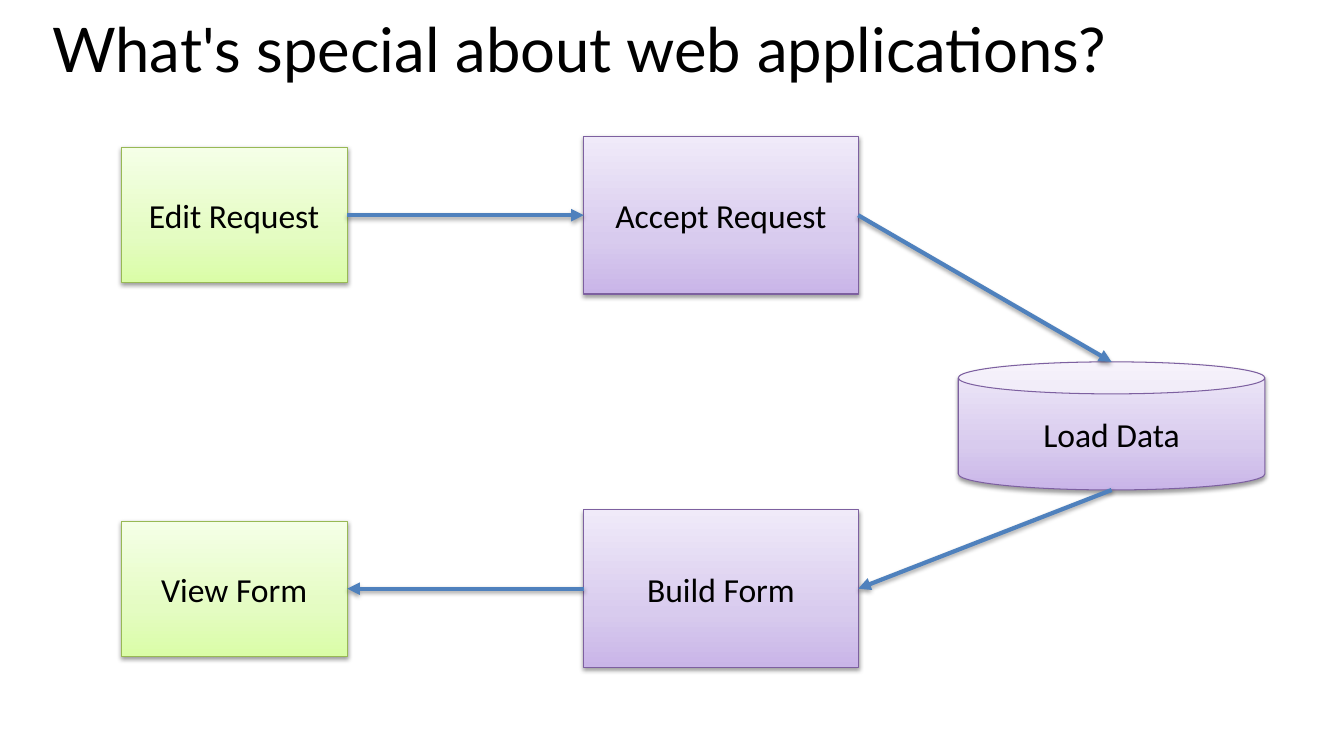
from copy import deepcopy

from lxml import etree
from pptx import Presentation
from pptx.dml.color import RGBColor
from pptx.enum.shapes import MSO_CONNECTOR, MSO_SHAPE
from pptx.enum.text import MSO_ANCHOR, MSO_AUTO_SIZE, PP_ALIGN
from pptx.oxml.ns import qn
from pptx.util import Pt

RECT, CAN = MSO_SHAPE.RECTANGLE, MSO_SHAPE.CAN
STRAIGHT = MSO_CONNECTOR.STRAIGHT
TOP, MIDDLE = MSO_ANCHOR.TOP, MSO_ANCHOR.MIDDLE
LEFT, CENTER = PP_ALIGN.LEFT, PP_ALIGN.CENTER
FIXED = MSO_AUTO_SIZE.NONE

GREEN = ("98B955", ("DAFDA7", "E4FCC2", "F5FFE7"))
PURPLE = ("7D60A0", ("C9B5E8", "D8CBEE", "F0EAF9"))
STOPS = (0, 0.35, 1)
SIDES = {"top": (0.5, 0), "left": (0, 0.5), "bottom": (0.5, 1), "right": (1, 0.5)}
SITES = {
    RECT: {"top": 0, "left": 1, "bottom": 2, "right": 3},
    CAN: {"top": 1, "left": 2, "bottom": 3, "right": 4},
}
UPPER, LOWER = 153.75, 420.5


def rgb(code):
    return RGBColor.from_string(code)


def style(para, font, size, align):
    para.font.name = font
    para.font.size = Pt(size)
    para.font.color.rgb = rgb("000000")
    para.alignment = align


def shade(item, alpha, dist):
    effects = etree.SubElement(item._element.spPr, qn("a:effectLst"))
    outer = etree.SubElement(
        effects, qn("a:outerShdw"), blurRad=str(Pt(3.15)), dist=str(Pt(dist)),
        dir="5400000", rotWithShape="0")
    color = etree.SubElement(outer, qn("a:srgbClr"), val="000000")
    etree.SubElement(color, qn("a:alpha"), val=str(alpha * 1000))


def blend(shape, colors):
    shape.fill.gradient()
    shape.fill.gradient_angle = 90
    stops = shape._element.spPr.find(".//" + qn("a:gsLst"))
    stops.insert(1, deepcopy(stops[0]))
    for stop, place, color in zip(shape.fill.gradient_stops, STOPS, colors):
        stop.position = place
        stop.color.rgb = rgb(color)


def add_title(slide, text):
    title = slide.shapes.title
    title.left, title.top, title.width, title.height = Pt(30), Pt(14.5), Pt(907), Pt(83.5)
    frame = title.text_frame
    frame.text = text
    frame.auto_size = FIXED
    frame.vertical_anchor = TOP
    para = frame.paragraphs[0]
    para.line_spacing = 0.8
    style(para, "Lato", 44, LEFT)


def add_step(slide, text, theme, left, middle, width, height, kind=RECT):
    shape = slide.shapes.add_shape(
        kind, Pt(left), Pt(middle - height / 2), Pt(width), Pt(height))
    edge, colors = theme
    blend(shape, colors)
    shape.line.color.rgb = rgb(edge)
    shape.line.width = Pt(0.75)
    shade(shape, 38, 1.6)
    frame = shape.text_frame
    frame.text = text
    frame.word_wrap = True
    frame.vertical_anchor = MIDDLE
    style(frame.paragraphs[0], "Calibri", 24, CENTER)
    return shape


def spot(shape, side):
    across, down = SIDES[side]
    return (int(shape.left + across * shape.width),
            int(shape.top + down * shape.height))


def add_arrow(slide, start, out, end, into):
    arrow = slide.shapes.add_connector(STRAIGHT, 0, 0, 0, 0)
    arrow.begin_connect(start, SITES[start.auto_shape_type][out])
    arrow.end_connect(end, SITES[end.auto_shape_type][into])
    arrow.begin_x, arrow.begin_y = spot(start, out)
    arrow.end_x, arrow.end_y = spot(end, into)
    arrow.line.color.rgb = rgb("4F81BD")
    arrow.line.width = Pt(3)
    etree.SubElement(arrow.line._get_or_add_ln(), qn("a:tailEnd"), type="triangle")
    shade(arrow, 35, 1.8)


def main():
    deck = Presentation()
    deck.slide_width, deck.slide_height = Pt(960), Pt(540)
    slide = deck.slides.add_slide(deck.slide_layouts[5])
    add_title(slide, "What's special about web applications?")

    client = {"theme": GREEN, "left": 86.5, "width": 161.5, "height": 96.5}
    server = {"theme": PURPLE, "left": 417, "width": 196, "height": 112.5}
    edit = add_step(slide, "Edit Request", middle=UPPER, **client)
    accept = add_step(slide, "Accept Request", middle=UPPER, **server)
    load = add_step(slide, "Load Data", PURPLE, 684.5, 304.25, 219, 91.5, CAN)
    build = add_step(slide, "Build Form", middle=LOWER, **server)
    view = add_step(slide, "View Form", middle=LOWER, **client)

    add_arrow(slide, edit, "right", accept, "left")
    add_arrow(slide, accept, "right", load, "top")
    add_arrow(slide, load, "bottom", build, "right")
    add_arrow(slide, build, "left", view, "right")
    deck.save("out.pptx")


if __name__ == "__main__":
    main()
